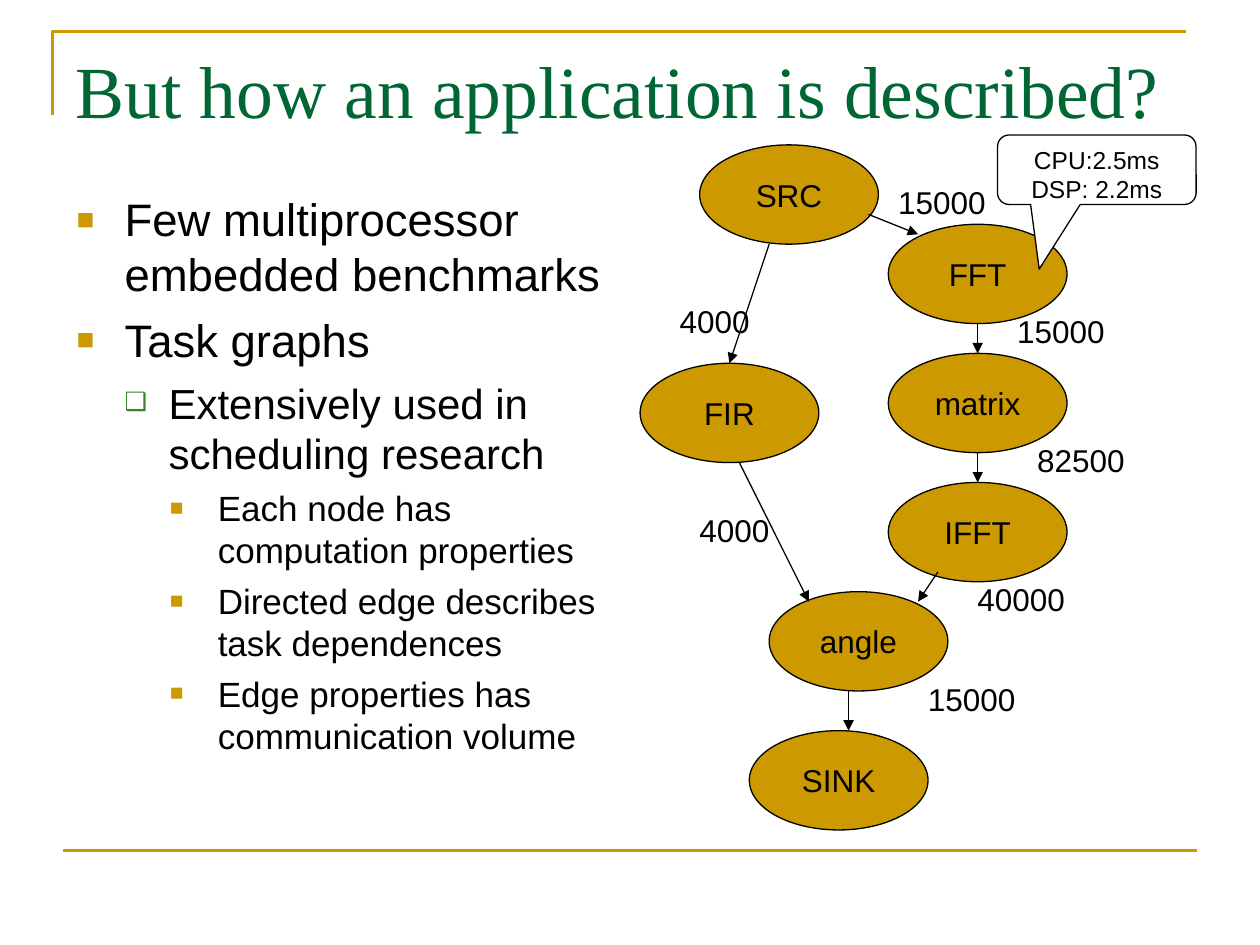
from dataclasses import dataclass
from typing import NamedTuple

import pptx
import pptx.dml.color
import pptx.enum.shapes
import pptx.enum.text
import pptx.oxml
import pptx.oxml.ns
import pptx.util

Inches, Pt = pptx.util.Inches, pptx.util.Pt
Shape = pptx.enum.shapes.MSO_SHAPE
Align = pptx.enum.text.PP_ALIGN
Anchor = pptx.enum.text.MSO_ANCHOR
Fit = pptx.enum.text.MSO_AUTO_SIZE


@dataclass(frozen=True)
class Theme:
    gold: str = "CC9900"
    green: str = "006633"
    leaf: str = "3B812F"
    black: str = "000000"
    white: str = "FFFFFF"
    serif: str = "Times New Roman"
    sans: str = "Arial"
    title: float = 42
    label: float = 18
    note: float = 14
    rule: float = 1.5
    thin: float = 0.75


class Level(NamedTuple):
    left: float
    hang: float
    size: float
    space: float
    mark: str
    tint: str
    share: int


class Node(NamedTuple):
    name: str
    col: float
    row: float


class Edge(NamedTuple):
    start: tuple[float, float]
    end: tuple[float, float]


class Label(NamedTuple):
    text: str
    col: float
    row: float


THEME = Theme()
WIDE, HIGH = 10, 7.5
# Graph grid: left, top and step in inches; nodes span 18 by 10 steps
LEFT, TOP, STEP = 5.08, 1.15, 0.0788
NODE_W, NODE_H = 18, 10
PAD_X, PAD_Y = 0.1, 0.06

LEVELS = [
    Level(0.38, 0.38, 26, 6.5, "■", THEME.gold, 65),
    Level(0.73, 0.35, 24, 6, "❑", THEME.leaf, 60),
    Level(1.12, 0.38, 20, 5, "■", THEME.gold, 65),
]
POINTS = [
    (0, "Few multiprocessor embedded benchmarks"),
    (0, "Task graphs"),
    (1, "Extensively used in scheduling research"),
    (2, "Each node has computation properties"),
    (2, "Directed edge describes task dependences"),
    (2, "Edge properties has communication volume"),
]
NODES = [
    Node("SRC", 6, 0), Node("FFT", 25, 8), Node("FIR", 0, 22),
    Node("SINK", 11, 59), Node("matrix", 25, 21), Node("IFFT", 25, 34),
    Node("angle", 13, 45),
]
EDGES = [
    Edge((13, 10), (9, 22)), Edge((10, 32), (17, 46)),
    Edge((23, 7), (28, 9)), Edge((34, 18), (34, 21)),
    Edge((34, 31), (34, 34)), Edge((30, 43), (28, 46)),
    Edge((21, 55), (21, 59)),
]
LABELS = [
    Label("4000", 4, 16), Label("15000", 26, 4), Label("15000", 38, 17),
    Label("82500", 40, 30), Label("40000", 34, 44), Label("4000", 6, 37),
    Label("15000", 29, 54),
]


def across(share: float) -> int:
    return Inches(WIDE * share)


def down(share: float) -> int:
    return Inches(HIGH * share)


def spot(col: float, row: float) -> tuple[int, int]:
    return Inches(LEFT + col * STEP), Inches(TOP + row * STEP)


def color(code: str) -> pptx.dml.color.RGBColor:
    return pptx.dml.color.RGBColor.from_string(code)


def apply(target, values: dict) -> None:
    for key, value in values.items():
        setattr(target, key, value)


def write(par, text: str, size: float, face: str = THEME.sans,
          tint: str = THEME.black) -> None:
    run = par.add_run()
    run.text = text
    apply(run.font, {"size": Pt(size), "name": face})
    run.font.color.rgb = color(tint)


def stroke(item, tint: str, width: float) -> None:
    item.line.color.rgb = color(tint)
    item.line.width = Pt(width)


def add_xml(parent, tag: str, **values: str):
    item = pptx.oxml.parse_xml(f'<a:{tag} {pptx.oxml.ns.nsdecls("a")}/>')
    for key, value in values.items():
        item.set(key, value)
    parent.append(item)
    return item


def draw_line(shapes, start, end, tint: str, width: float, head: bool = False) -> None:
    line = shapes.add_connector(pptx.enum.shapes.MSO_CONNECTOR.STRAIGHT, *start, *end)
    stroke(line, tint, width)
    if head:
        add_xml(line.line._get_or_add_ln(), "tailEnd", type="triangle")
    add_xml(line._element.spPr, "effectLst")


def draw_shape(shapes, kind, col, row, cols, rows, fill: str):
    item = shapes.add_shape(kind, *spot(col, row), Inches(cols * STEP), Inches(rows * STEP))
    item.shadow.inherit = False
    item.fill.solid()
    item.fill.fore_color.rgb = color(fill)
    stroke(item, THEME.black, THEME.thin)
    return item


def draw_node(shapes, node: Node) -> None:
    oval = draw_shape(shapes, Shape.OVAL, node.col, node.row, NODE_W, NODE_H, THEME.gold)
    apply(oval.text_frame, {"word_wrap": False, "vertical_anchor": Anchor.MIDDLE})
    par = oval.text_frame.paragraphs[0]
    par.alignment = Align.CENTER
    write(par, node.name, THEME.label)


def draw_label(shapes, label: Label) -> None:
    x, y = spot(label.col, label.row)
    width = Inches(0.22 + 0.14 * len(label.text))
    box = shapes.add_textbox(x - Inches(PAD_X), y - Inches(PAD_Y), width, Inches(0.4))
    apply(box.text_frame, {"word_wrap": True, "auto_size": Fit.NONE})
    write(box.text_frame.paragraphs[0], label.text, THEME.label)


def draw_point(par, level: Level, text: str, first: bool) -> None:
    props = par._p.get_or_add_pPr()
    apply(par, {"space_before": Pt(0 if first else level.space)})
    props.set("marL", str(Inches(level.left)))
    props.set("indent", str(-Inches(level.hang)))
    add_xml(add_xml(props, "buClr"), "srgbClr", val=level.tint)
    add_xml(props, "buSzPct", val=str(level.share * 1000))
    add_xml(props, "buFont", typeface=THEME.sans)
    add_xml(props, "buChar", char=level.mark)
    write(par, text, level.size)


def main() -> None:
    deck = pptx.Presentation()
    apply(deck, {"slide_width": Inches(WIDE), "slide_height": Inches(HIGH)})
    shapes = deck.slides.add_slide(deck.slide_layouts[6]).shapes

    # Frame rules
    left, top = across(1 / 24), down(1 / 30)
    pen = shapes.build_freeform(left, down(0.122))
    pen.add_line_segments([(left, top), (left + across(0.9), top)], close=False)
    frame = pen.convert_to_shape()
    frame.shadow.inherit = False
    frame.fill.background()
    stroke(frame, THEME.gold, THEME.rule)
    draw_line(shapes, (across(0.05), down(0.9)), (across(0.95), down(0.9)),
              THEME.gold, THEME.rule)

    # Title
    title = shapes.add_textbox(across(0.05), down(0.041), across(0.9), down(0.17)).text_frame
    title.word_wrap = True
    write(title.paragraphs[0], "But how an application is described?",
          THEME.title, THEME.serif, THEME.green)

    # Bullet list
    body = shapes.add_textbox(across(0.051), down(0.196), across(0.442), down(0.66)).text_frame
    body.word_wrap = True
    for i, (depth, text) in enumerate(POINTS):
        par = body.add_paragraph() if i else body.paragraphs[0]
        par.level = depth
        draw_point(par, LEVELS[depth], text, i == 0)

    # Task graph
    for node in NODES:
        draw_node(shapes, node)
    for edge in EDGES:
        draw_line(shapes, spot(*edge.start), spot(*edge.end), THEME.black, THEME.thin, True)

    # Timing callout
    note = draw_shape(shapes, Shape.ROUNDED_RECTANGULAR_CALLOUT, 36, -1, 20, 7, THEME.white)
    for i, value in enumerate((-0.29, 1.43, 1 / 6)):
        note.adjustments[i] = value
    apply(note.text_frame, {"word_wrap": True, "vertical_anchor": Anchor.TOP})
    for i, text in enumerate(("CPU:2.5ms", "DSP: 2.2ms")):
        par = note.text_frame.add_paragraph() if i else note.text_frame.paragraphs[0]
        par.alignment = Align.CENTER
        write(par, text, THEME.note)

    # Edge volumes
    for label in LABELS:
        draw_label(shapes, label)

    deck.save("out.pptx")


if __name__ == "__main__":
    main()
